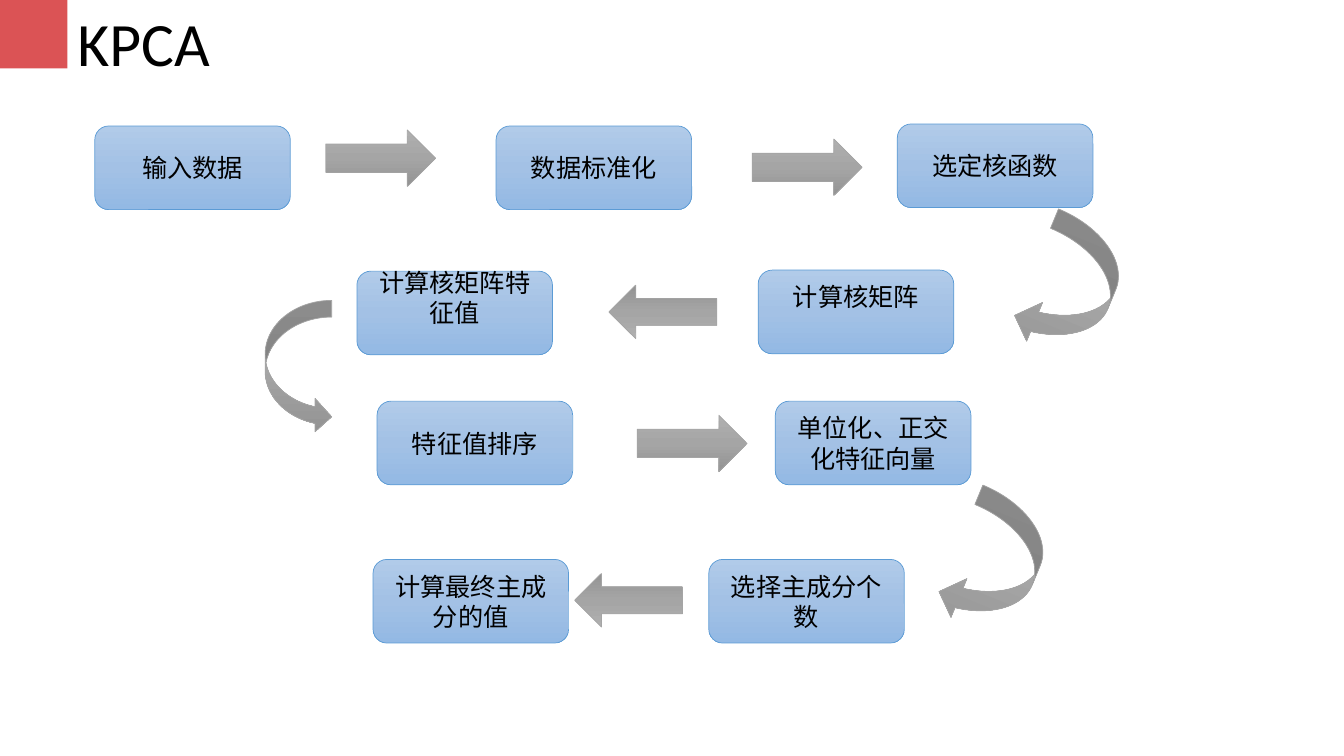
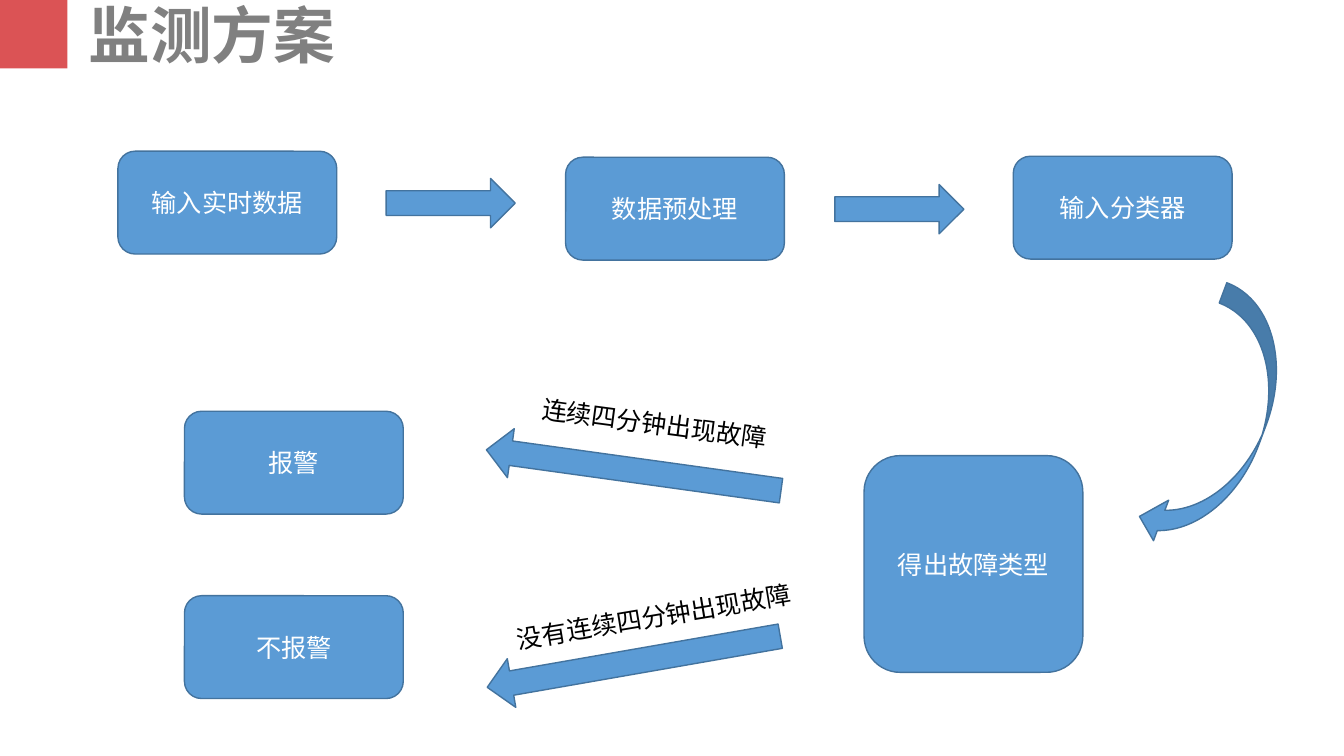
from copy import deepcopy

from lxml import etree
from pptx import Presentation
from pptx.dml.color import RGBColor
from pptx.enum.shapes import MSO_SHAPE
from pptx.enum.text import MSO_ANCHOR, MSO_AUTO_SIZE, PP_ALIGN
from pptx.oxml.ns import qn
from pptx.util import Emu, Pt

PX = 9144  # 100 px to the inch
SLIDE_W, SLIDE_H = 1333, 750

RECT = MSO_SHAPE.RECTANGLE
ROUNDED = MSO_SHAPE.ROUNDED_RECTANGLE
RIGHT_ARROW = MSO_SHAPE.RIGHT_ARROW
CURVED_LEFT = MSO_SHAPE.CURVED_LEFT_ARROW
CURVED_RIGHT = MSO_SHAPE.CURVED_RIGHT_ARROW
CENTER = PP_ALIGN.CENTER
MIDDLE = MSO_ANCHOR.MIDDLE
GROW = MSO_AUTO_SIZE.SHAPE_TO_FIT_TEXT

LATIN_FONT = "Calibri"
CJK_FONT = "Noto Sans CJK SC"
BODY_SIZE, TITLE_SIZE = 18, 44

RED = RGBColor(0xDB, 0x53, 0x55)
BLACK = RGBColor(0x00, 0x00, 0x00)
WHITE = RGBColor(0xFF, 0xFF, 0xFF)
TITLE_GRAY = RGBColor(0x80, 0x80, 0x80)
BLUE = RGBColor(0x5B, 0x9B, 0xD5)
DARK_BLUE = RGBColor(0x43, 0x73, 0x9E)
GRAY = RGBColor(0xA5, 0xA5, 0xA5)
BLUE_GRADIENT = (RGBColor(0xB1, 0xCB, 0xE9), RGBColor(0xA3, 0xC1, 0xE5),
                 RGBColor(0x93, 0xB9, 0xE4))
GRAY_GRADIENT = (RGBColor(0xAF, 0xAF, 0xAF), GRAY, RGBColor(0x93, 0x93, 0x93))

# Fill (one colour or three gradient stops), line colour, line width, text colour
SOFT_BLUE = (BLUE_GRADIENT, BLUE, 0.5, BLACK)
SOFT_GRAY = (GRAY_GRADIENT, GRAY, 0.5, BLACK)
SOLID_BLUE = (BLUE, DARK_BLUE, 1, WHITE)


def px(*lengths):
    return [Emu(length * PX) for length in lengths]


def fill_gradient(shape, colors):
    """Fill from top to bottom with three evenly spaced colours."""
    shape.fill.gradient()
    shape.fill.gradient_angle = 270
    stop_list = shape._element.spPr.find(".//" + qn("a:gsLst"))
    stop_list.insert(1, deepcopy(stop_list[0]))
    for stop, color, position in zip(shape.fill.gradient_stops, colors, (0, 0.5, 1)):
        stop.color.rgb = color
        stop.position = position


def write(frame, text, color, size=BODY_SIZE, font=LATIN_FONT, bold=False):
    frame.word_wrap = True
    frame.text = text
    run = frame.paragraphs[0].runs[0]
    run.font.size = Pt(size)
    run.font.bold = bold
    run.font.color.rgb = color
    run.font.name = font
    etree.SubElement(run.font._element, qn("a:ea"), typeface=CJK_FONT)


def add_styled(slide, preset, box, style, rotation=0):
    fill, line, line_width, _ = style
    shape = slide.shapes.add_shape(preset, *px(*box))
    shape.shadow.inherit = False
    shape.rotation = rotation
    if isinstance(fill, RGBColor):
        shape.fill.solid()
        shape.fill.fore_color.rgb = fill
    else:
        fill_gradient(shape, fill)
    shape.line.color.rgb = line
    shape.line.width = Pt(line_width)
    return shape


def add_step(slide, text, box, style, bottom_inset=5):
    frame = add_styled(slide, ROUNDED, box, style).text_frame
    write(frame, text, style[-1])
    frame.paragraphs[0].alignment = CENTER
    frame.vertical_anchor = MIDDLE
    frame.margin_bottom = Emu(bottom_inset * PX)


def add_label(slide, text, box, color=BLACK, rotation=0, **font):
    label = slide.shapes.add_textbox(*px(*box))
    label.rotation = rotation
    write(label.text_frame, text, color, **font)
    label.text_frame.auto_size = GROW


def add_titled_slide(prs, title, box, color, **font):
    slide = prs.slides.add_slide(prs.slide_layouts[6])
    corner = slide.shapes.add_shape(RECT, *px(0, 0, 67, 68))
    corner.shadow.inherit = False
    corner.fill.solid()
    corner.fill.fore_color.rgb = RED
    corner.line.fill.background()
    add_label(slide, title, box, color, size=TITLE_SIZE, **font)
    return slide


def build_kpca(prs):
    slide = add_titled_slide(prs, "KPCA", (67, 0, 490, 84), BLACK)
    raised = 35  # bottom inset that lifts the text by half a line
    steps = [
        ("输入数据", 94, 125, 5),
        ("数据标准化", 492, 125, 5),
        ("选定核函数", 890, 123, 5),
        ("计算核矩阵", 752, 268, raised),
        ("计算核矩阵特征值", 354, 269, raised),
        ("特征值排序", 374, 398, 5),
        ("单位化、正交化特征向量", 769, 398, 5),
        ("选择主成分个数", 703, 555, 5),
        ("计算最终主成分的值", 370, 555, 5),
    ]
    for text, left, top, inset in steps:
        add_step(slide, text, (left, top, 194, 83), SOFT_BLUE, inset)

    for left, top in ((323, 129), (746, 138), (632, 412)):
        add_styled(slide, RIGHT_ARROW, (left, top, 109, 56), SOFT_GRAY)
    for left, top in ((604, 283), (570, 569)):
        add_styled(slide, RIGHT_ARROW, (left, top, 107, 53), SOFT_GRAY, 180)
    for left, top in ((1021, 218), (946, 492)):
        add_styled(slide, CURVED_LEFT, (left, top, 83, 135), SOFT_GRAY, 22.4)
    add_styled(slide, CURVED_RIGHT, (263, 298, 66, 132), SOFT_GRAY)


def build_monitoring(prs):
    slide = add_titled_slide(prs, "监测方案", (78, -8, 342, 84), TITLE_GRAY,
                             font=CJK_FONT, bold=True)
    steps = [
        ("输入实时数据", 117, 150, 102),
        ("数据预处理", 561, 156, 102),
        ("输入分类器", 1005, 155, 102),
        ("得出故障类型", 857, 452, 215),
        ("不报警", 183, 591, 102),
        ("报警", 183, 408, 102),
    ]
    for text, left, top, height in steps:
        add_step(slide, text, (left, top, 217, height), SOLID_BLUE)

    arrows = [
        (383, 177, 128, 0),
        (828, 183, 128, 0),
        (481, 442, 295, 187.9),
        (481, 632, 295, 170.1),
    ]
    for left, top, width, rotation in arrows:
        add_styled(slide, RIGHT_ARROW, (left, top, width, 49), SOLID_BLUE, rotation)
    add_styled(slide, CURVED_LEFT, (1167, 287, 86, 269), SOLID_BLUE, 20.5)

    add_label(slide, "连续四分钟出现故障", (527, 401, 259, 40), rotation=7.6)
    add_label(slide, "没有连续四分钟出现故障", (501, 590, 312, 40), rotation=350.4)


def main():
    prs = Presentation()
    prs.slide_width, prs.slide_height = px(SLIDE_W, SLIDE_H)
    build_kpca(prs)
    build_monitoring(prs)
    prs.save("out.pptx")


if __name__ == "__main__":
    main()
